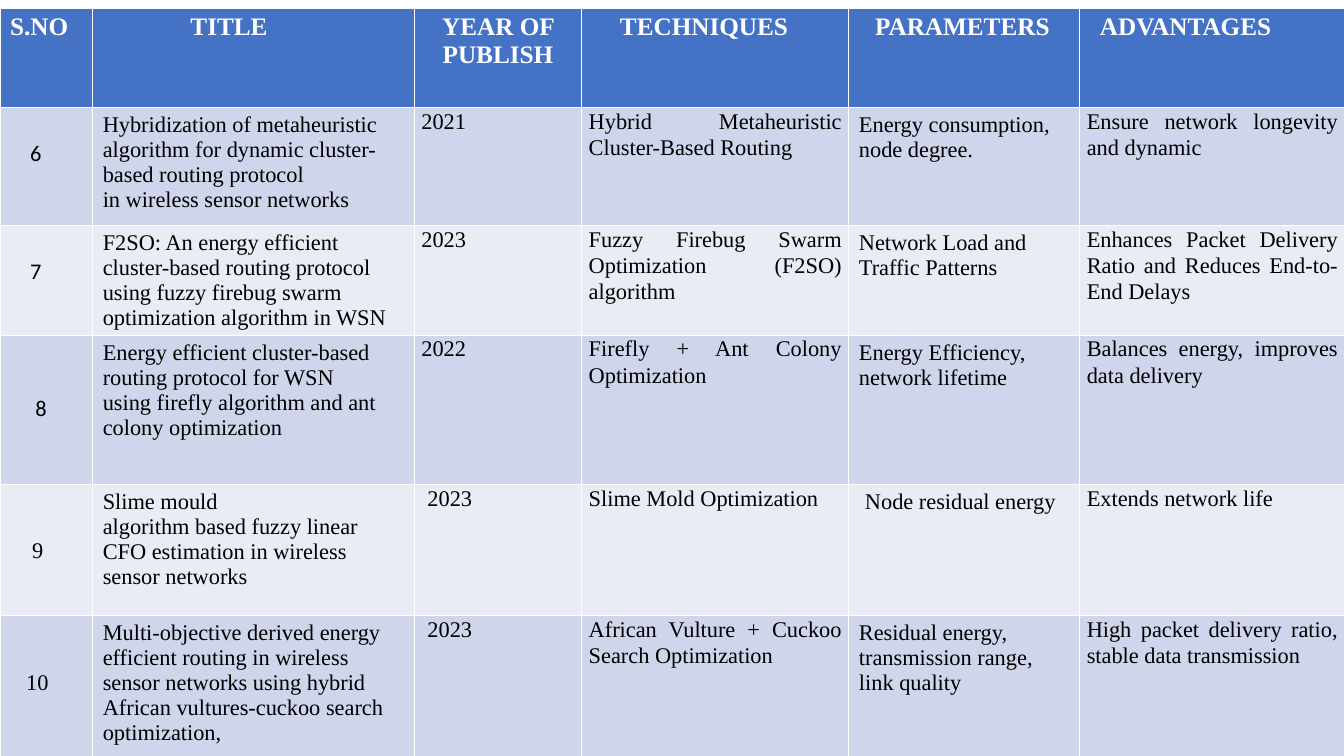
from pptx import Presentation
from pptx.dml.color import RGBColor
from pptx.enum.text import PP_ALIGN
from pptx.util import Inches, Pt

LEFT, CENTER, JUSTIFY = PP_ALIGN.LEFT, PP_ALIGN.CENTER, PP_ALIGN.JUSTIFY
SERIF, SANS = "Times New Roman", "Calibri"
HEADER_FILL, BANDS = "4472C4", ("CFD5EA", "E9EBF5")
WHITE, BLACK = "FFFFFF", "000000"

COLUMN_WIDTHS = [0.92, 3.19, 1.66, 2.65, 2.29, 2.63]
ROW_HEIGHTS = [0.99, 1.17, 1, 1.48, 1.3, 1.48]
JUSTIFIED_COLUMNS = (2, 3, 5)

HEADINGS = [
    ("S.NO", 0.1), ("TITLE", 0.97), ("YEAR OF PUBLISH", 0.1),
    ("TECHNIQUES", 0.38), ("PARAMETERS", 0.26), ("ADVANTAGES", 0.2),
]

PAPERS = [
    ("6",
     "Hybridization of metaheuristic algorithm for dynamic cluster-based routing protocol\n"
     "in wireless sensor networks",
     "2021", "Hybrid Metaheuristic Cluster-Based Routing",
     "Energy consumption, node degree.", "Ensure network longevity and dynamic"),
    ("7",
     "F2SO: An energy efficient cluster-based routing protocol using fuzzy firebug swarm "
     "optimization algorithm in WSN",
     "2023", "Fuzzy Firebug Swarm Optimization (F2SO) algorithm",
     "Network Load and Traffic Patterns",
     "Enhances Packet Delivery Ratio and Reduces End-to-End Delays"),
    ("8",
     "Energy efficient cluster-based routing protocol for WSN\n"
     "using firefly algorithm and ant colony optimization",
     "2022", "Firefly + Ant Colony Optimization",
     "Energy Efficiency,\nnetwork lifetime", "Balances energy, improves data delivery"),
    ("9",
     "Slime mould\nalgorithm based fuzzy linear CFO estimation in wireless\nsensor networks",
     "2023", "Slime Mold Optimization",
     "Node residual energy", "Extends network life"),
    ("10",
     "Multi-objective derived energy efficient routing in wireless sensor networks using "
     "hybrid African vultures-cuckoo search optimization,",
     "2023", "African Vulture + Cuckoo Search Optimization",
     "Residual energy, transmission range, link quality",
     "High packet delivery ratio, stable data transmission"),
]

NUMBER_STYLES = [(0.3, 0.32, SANS), (0.3, 0.32, SANS), (0.35, 0.59, SANS),
                 (0.32, 0.54, SERIF), (0.26, 0.54, SERIF)]
INDENTED = {(3, 2): 0.13, (4, 2): 0.13, (3, 4): 0.16}


def color(value):
    return RGBColor.from_string(value)


def fill_cell(cell, text, fill, ink, size, margins, font=SERIF, bold=False,
              align=LEFT, spacing=None):
    cell.fill.solid()
    cell.fill.fore_color.rgb = color(fill)
    (cell.margin_left, cell.margin_top,
     cell.margin_right, cell.margin_bottom) = map(Inches, margins)
    cell.text_frame.text = text
    for paragraph in cell.text_frame.paragraphs:
        paragraph.alignment = align
        if spacing:
            paragraph.line_spacing = spacing
        for run in paragraph.runs:
            run.font.name = font
            run.font.size = Pt(size)
            run.font.bold = bold
            run.font.color.rgb = color(ink)


prs = Presentation()
prs.slide_width, prs.slide_height = Inches(13.33), Inches(7.5)
slide = prs.slides.add_slide(prs.slide_layouts[6])
survey = slide.shapes.add_table(
    len(ROW_HEIGHTS), len(COLUMN_WIDTHS), Inches(0), Inches(0.08),
    Inches(sum(COLUMN_WIDTHS)), Inches(sum(ROW_HEIGHTS))).table

for column, width in zip(survey.columns, COLUMN_WIDTHS):
    column.width = Inches(width)
for row, height in zip(survey.rows, ROW_HEIGHTS):
    row.height = Inches(height)

for c, (heading, indent) in enumerate(HEADINGS):
    fill_cell(survey.cell(0, c), heading, HEADER_FILL, WHITE, 18,
              (indent, 0.05, 0.1, 0.05), bold=True, align=CENTER if c == 2 else LEFT)

for r, paper in enumerate(PAPERS):
    for c, text in enumerate(paper):
        font, align, spacing = SERIF, LEFT, None
        margins = (INDENTED.get((r, c), 0.1), 0.05, 0.1, 0.05)
        if c == 0:
            indent, drop, font = NUMBER_STYLES[r]
            margins = (indent, drop, 0.1, 0.05)
        elif c in JUSTIFIED_COLUMNS:
            margins = (INDENTED.get((r, c), 0.07), 0, 0.07, 0)
            align, spacing = JUSTIFY, 1.06
        fill_cell(survey.cell(r + 1, c), text, BANDS[r % 2], BLACK, 16,
                  margins, font, False, align, spacing)

prs.save("out.pptx")
